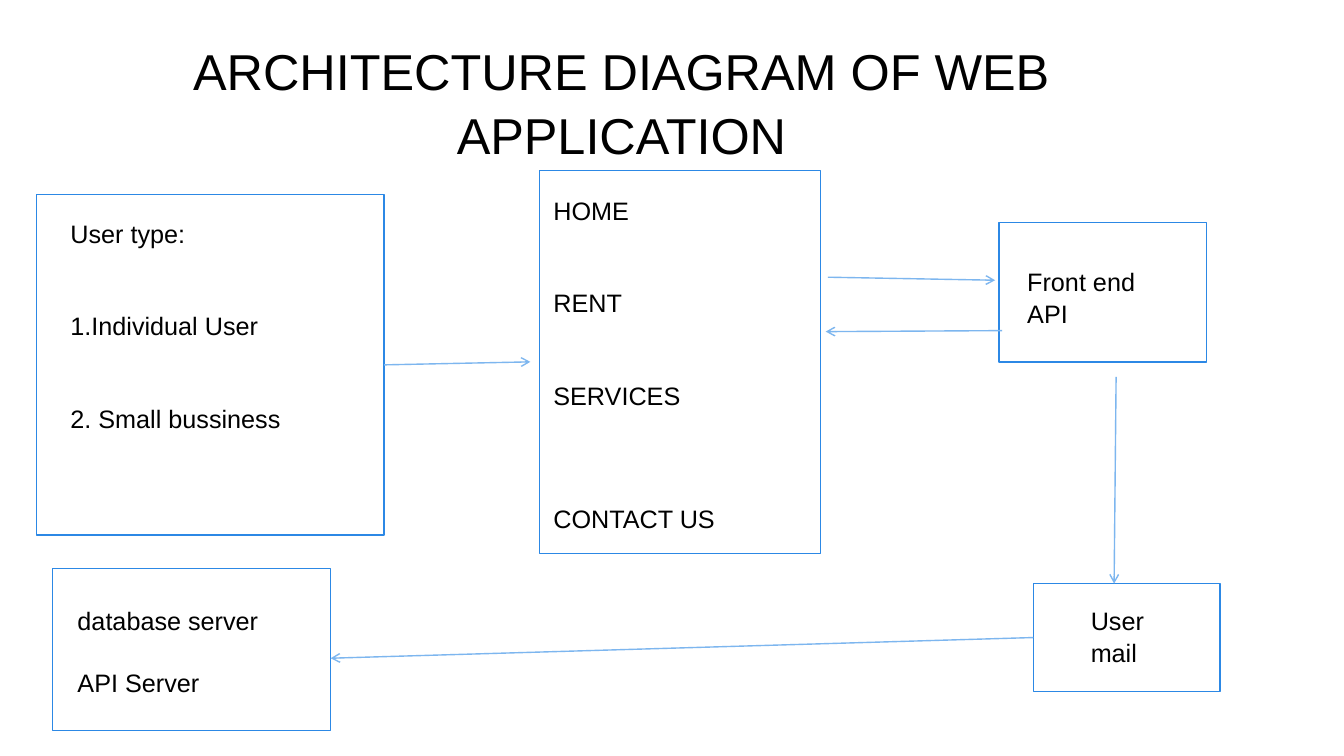
from pptx import Presentation
from pptx.dml.color import RGBColor
from pptx.enum.shapes import MSO_CONNECTOR, MSO_SHAPE
from pptx.enum.text import MSO_AUTO_SIZE, PP_ALIGN
from pptx.oxml.ns import qn
from pptx.util import Pt
from lxml.etree import SubElement

PX = 9144
LINE_SPACING = 1.05
BODY_SIZE = 18
BODY_LINE = 21.7
LEFT, RIGHT = 1, 3


def px(*values):
    return [value * PX for value in values]


def color(hex_code):
    return RGBColor.from_string(hex_code)


def add_text(s, box, lines, size=BODY_SIZE, align=PP_ALIGN.LEFT, grow=True):
    sp = s.shapes.add_textbox(*px(*box))
    tf = sp.text_frame
    tf.word_wrap = True
    tf.auto_size = MSO_AUTO_SIZE.SHAPE_TO_FIT_TEXT if grow else MSO_AUTO_SIZE.NONE
    for i, (text, skipped) in enumerate(lines):
        p = tf.add_paragraph() if i else tf.paragraphs[0]
        p.alignment = align
        p.line_spacing = LINE_SPACING
        if skipped:
            p.space_before = Pt(round(skipped * BODY_LINE, 1))
        r = p.add_run()
        r.text = text
        r.font.name = "Arial"
        r.font.size = Pt(size)
        r.font.color.rgb = color("000000")


def add_node(s, box, inset, text_size, lines, grow=True):
    x, y, w, h = box
    sp = s.shapes.add_shape(MSO_SHAPE.RECTANGLE, *px(x, y, w, h))
    sp.shadow.inherit = False
    sp.fill.solid()
    sp.fill.fore_color.rgb = color("FFFFFF")
    sp.line.color.rgb = color("2C88E5")
    sp.line.width = Pt(1)
    dx, dy = inset
    add_text(s, (x + dx, y + dy, *text_size), lines, grow=grow)
    return sp


def add_arrow(s, start, end, source=None, side=RIGHT):
    c = s.shapes.add_connector(MSO_CONNECTOR.STRAIGHT, *px(*start, *end))
    if source is not None:
        c.begin_connect(source, side)
    c.line.color.rgb = color("7DB6EF")
    c.line.width = Pt(1)
    SubElement(c.line._get_or_add_ln(), qn("a:tailEnd"), type="arrow")
    SubElement(c._element.spPr, qn("a:effectLst"))


def add_title(s, box):
    add_text(s, box, [("ARCHITECTURE DIAGRAM OF WEB APPLICATION", 0)],
             size=36, align=PP_ALIGN.CENTER)


def add_diagram(s):
    users = add_node(s, (36, 193, 345, 338), (24, 17), (304, 283),
                     [("User type:", 0), ("1.Individual User", 2),
                      ("2. Small bussiness", 2)])
    add_node(s, (991, 221, 206, 138), (18, 37), (170, 71),
             [("Front end", 0), ("API", 0)])
    mail = add_node(s, (1025, 579, 185, 107), (47, 15), (85, 71),
                    [("User", 0), ("mail", 0)])
    add_node(s, (52, 564, 276, 161), (15, 30), (261, 101),
             [("database server", 0), ("API Server", 1)])
    add_node(s, (535, 169, 279, 380), (4, 18), (262, 344),
             [("HOME", 0), ("RENT", 2), ("SERVICES", 2), ("CONTACT US", 3)],
             grow=False)

    add_arrow(s, (381, 362), (526, 359), users, RIGHT)
    add_arrow(s, (994, 328), (819, 329))
    add_arrow(s, (821, 275), (987, 278))
    add_arrow(s, (1107, 374), (1105, 579))
    add_arrow(s, (1025, 632), (328, 653), mail, LEFT)


def main():
    prs = Presentation()
    prs.slide_width, prs.slide_height = px(1333, 750)
    s = prs.slides.add_slide(prs.slide_layouts[6])
    add_diagram(s)
    add_title(s, (51, 32, 1131, 131))
    prs.save("out.pptx")


if __name__ == "__main__":
    main()
